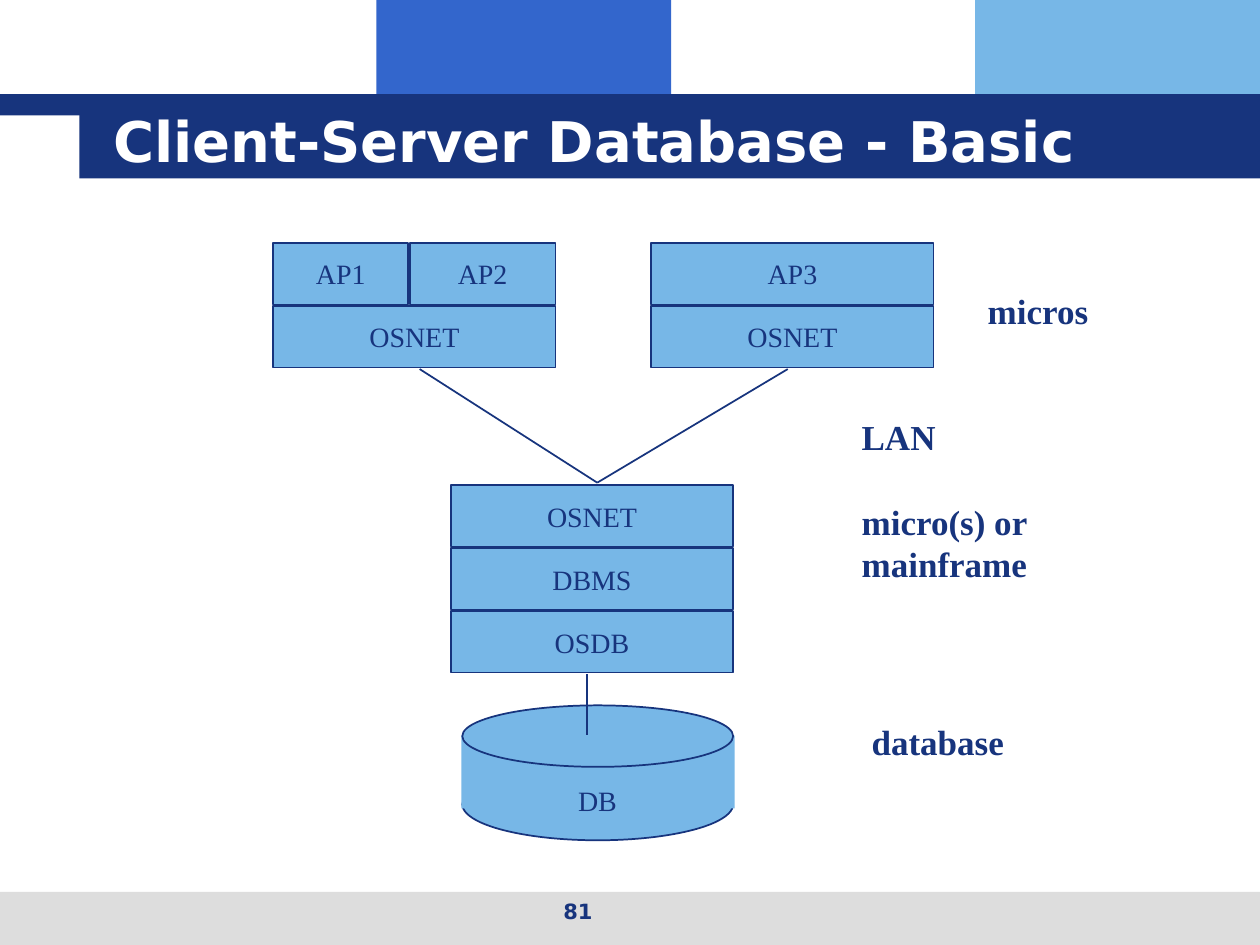
from lxml import etree
from pptx import Presentation
from pptx.dml.color import RGBColor
from pptx.enum.shapes import MSO_CONNECTOR, MSO_SHAPE
from pptx.enum.text import MSO_ANCHOR, PP_ALIGN
from pptx.oxml.ns import qn
from pptx.util import Cm, Pt

STRAIGHT = MSO_CONNECTOR.STRAIGHT
RECTANGLE, OVAL = MSO_SHAPE.RECTANGLE, MSO_SHAPE.OVAL
TOP, MIDDLE = MSO_ANCHOR.TOP, MSO_ANCHOR.MIDDLE
LEFT, CENTER = PP_ALIGN.LEFT, PP_ALIGN.CENTER

COLORS = {"navy": "17347D", "blue": "3366CC", "sky": "77B7E7",
          "grey": "DDDDDD", "white": "FFFFFF"}
SANS, SERIF = "DejaVu Sans", "Times New Roman"
ROW_HEIGHT, ROW_PITCH, STACK_WIDTH = 1.24, 1.27, 5.69
CLIENT_TOP, SERVER_TOP = 4.9, 9.78
CLIENT_LEFTS, SERVER_LEFT = (5.51, 13.13), 9.09


def color(name):
    """Return the named colour."""
    return RGBColor.from_string(COLORS[name])


def write_text(shape, text, size=16, font=SERIF, ink="navy", bold=False,
               align=CENTER, anchor=MIDDLE, wrap=True):
    """Write one formatted paragraph into a shape."""
    frame = shape.text_frame
    frame.word_wrap = wrap
    frame.vertical_anchor = anchor
    para = frame.paragraphs[0]
    para.alignment = align
    span = para.add_run()
    span.text = text
    span.font.size = Pt(size)
    span.font.name = font
    span.font.bold = bold
    span.font.color.rgb = color(ink)


def add_block(page, kind, place, fill, outlined=False):
    """Add a filled preset shape, optionally outlined in navy."""
    block = page.shapes.add_shape(kind, *map(Cm, place))
    block.shadow.inherit = False
    block.fill.solid()
    block.fill.fore_color.rgb = color(fill)
    if outlined:
        block.line.color.rgb = color("navy")
        block.line.width = Pt(1)
    else:
        block.line.fill.background()
    return block


def add_label(page, text, place, **style):
    """Add a free text box."""
    box = page.shapes.add_textbox(*map(Cm, place))
    write_text(box, text, **style)


def add_layer(page, text, left, top, width=STACK_WIDTH):
    """Add one labelled software layer."""
    layer = add_block(page, RECTANGLE, (left, top, width, ROW_HEIGHT), "sky", True)
    write_text(layer, text, wrap=False)


def add_link(page, start, end):
    """Add a straight navy line between two points."""
    link = page.shapes.add_connector(STRAIGHT, *map(Cm, start + end))
    link.line.color.rgb = color("navy")
    link.line.width = Pt(1)
    etree.SubElement(link.element.spPr, qn("a:effectLst"))


def add_frame(page):
    """Add the header and footer bands, the title and the page number."""
    for fill, place in (("blue", (7.59, 0, 5.94, 2.34)),
                        ("sky", (19.66, 0, 5.74, 2.34)),
                        ("grey", (0, 17.98, 25.4, 1.07)),
                        ("navy", (0, 1.9, 25.4, 0.43)),
                        ("navy", (1.6, 1.9, 23.8, 1.7))):
        add_block(page, RECTANGLE, place, fill)
    add_label(page, "Client-Server Database - Basic", (2.03, 2.03, 21.67, 1.57),
              size=32, font=SANS, ink="white", bold=True, align=LEFT)
    add_label(page, "81", (8.69, 17.98, 5.92, 0.89),
              size=12, font=SANS, bold=True, anchor=TOP)


def add_stacks(page):
    """Add the two client stacks and the server stack."""
    first, second = CLIENT_LEFTS
    add_layer(page, "AP1", first, CLIENT_TOP, 2.72)
    add_layer(page, "AP2", first + 2.75, CLIENT_TOP, 2.94)
    add_layer(page, "AP3", second, CLIENT_TOP)
    for left in CLIENT_LEFTS:
        add_layer(page, "OSNET", left, CLIENT_TOP + ROW_PITCH)
    for row, text in enumerate(("OSNET", "DBMS", "OSDB")):
        add_layer(page, text, SERVER_LEFT, SERVER_TOP + row * ROW_PITCH)


def add_database(page):
    """Add the database drum with its label."""
    add_block(page, OVAL, (9.32, 15.49, 5.46, 1.45), "sky", True)
    add_block(page, RECTANGLE, (9.3, 14.83, 5.51, 1.47), "sky")
    add_block(page, OVAL, (9.32, 14.22, 5.46, 1.24), "sky", True)
    add_label(page, "DB", (11.18, 15.67, 1.73, 0.91), anchor=TOP)


def main():
    """Build and save the slide."""
    deck = Presentation()
    deck.slide_width, deck.slide_height = Cm(25.4), Cm(19.05)
    page = deck.slides.add_slide(deck.slide_layouts[6])
    add_frame(page)
    add_stacks(page)
    add_database(page)
    for start, end in (((11.84, 13.59), (11.84, 14.81)),
                       ((8.46, 7.44), (12.04, 9.73)),
                       ((15.88, 7.44), (12.04, 9.73))):
        add_link(page, start, end)
    for text, place in (("micros", (19.66, 5.72, 3.4, 1.09)),
                        ("LAN", (17.12, 8.26, 3.2, 1.09)),
                        ("micro(s) or mainframe", (17.12, 9.96, 4.67, 1.93)),
                        ("database", (17.32, 14.4, 5.11, 1.09))):
        add_label(page, text, place, size=20, bold=True, align=LEFT, anchor=TOP)
    deck.save("out.pptx")


if __name__ == "__main__":
    main()
